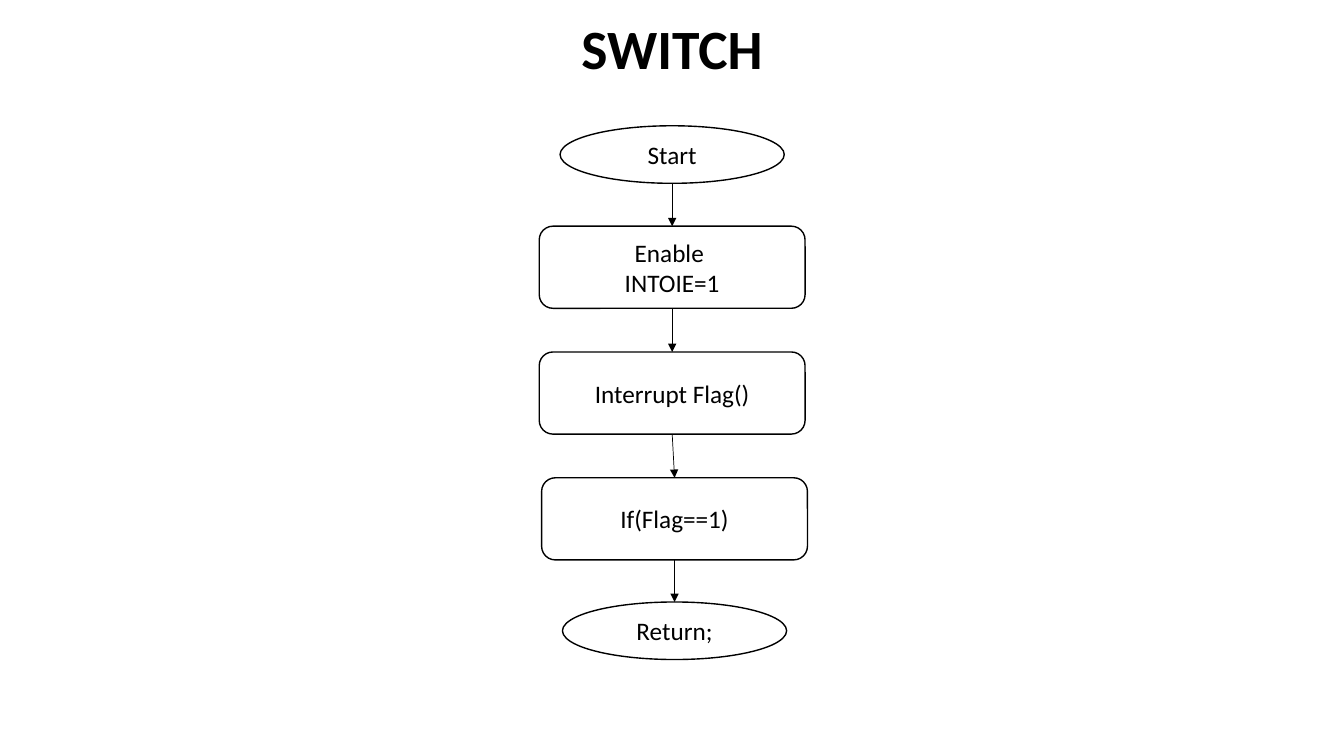
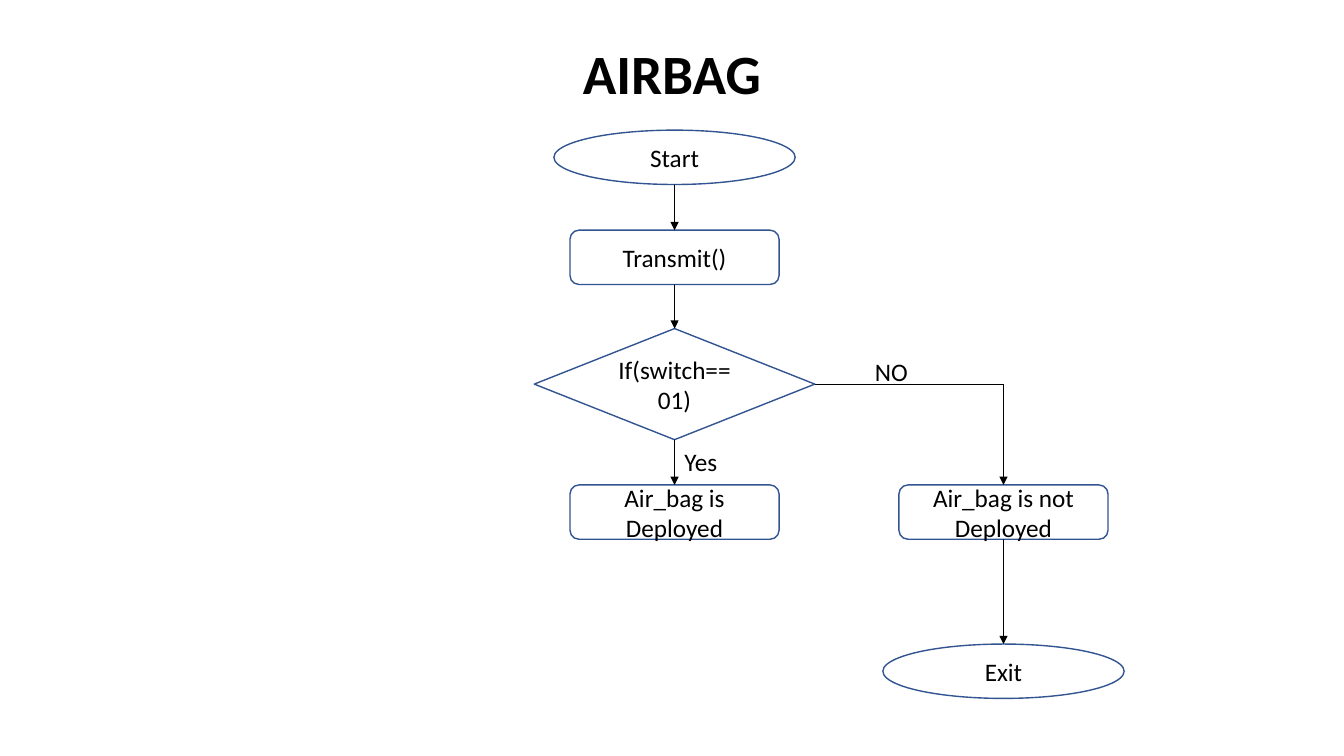
from dataclasses import dataclass
from typing import Optional

from lxml.etree import SubElement
from pptx import Presentation
from pptx.dml.color import RGBColor
from pptx.enum.shapes import MSO_CONNECTOR as Connector, MSO_SHAPE as Preset
from pptx.enum.text import MSO_ANCHOR as Anchor, MSO_AUTO_SIZE as AutoSize, PP_ALIGN as Align
from pptx.oxml.ns import qn
from pptx.util import Cm, Pt


@dataclass(frozen=True)
class Theme:
    font: str = "Calibri"
    ink: RGBColor = RGBColor(0x00, 0x00, 0x00)
    paper: RGBColor = RGBColor(0xFF, 0xFF, 0xFF)
    blue: RGBColor = RGBColor(0x32, 0x54, 0x91)
    title_size: float = 39.6
    body_size: float = 18
    outline: float = 1
    arrow: float = 0.5


@dataclass(frozen=True)
class Node:
    """A flowchart step, placed by its centre line and top edge, in cm."""
    key: str
    text: str
    preset: Preset
    centre: float
    top: float


@dataclass(frozen=True)
class Label:
    text: str
    left: float
    top: float


@dataclass(frozen=True)
class Flowchart:
    title: str
    title_top: float
    title_height: float
    outline: RGBColor
    sizes: dict[Preset, tuple[float, float]]
    nodes: tuple[Node, ...]
    down: tuple[tuple[str, str], ...]
    across: tuple[tuple[str, str], ...] = ()
    labels: tuple[Label, ...] = ()


THEME = Theme()
OVAL, BOX, DECISION = Preset.OVAL, Preset.ROUNDED_RECTANGLE, Preset.FLOWCHART_DECISION
SLIDE_WIDTH, SLIDE_HEIGHT = 33.87, 19.05
TITLE_WIDTH = 29.21
LABEL_WIDTH, LABEL_HEIGHT = 1.35, 1.02
MIDDLE, NUDGED, RIGHT = 16.94, 17.0, 25.29

SWITCH = Flowchart(
    title="SWITCH", title_top=0.43, title_height=1.75, outline=THEME.ink,
    sizes={OVAL: (5.65, 1.45), BOX: (6.7, 2.07)},
    nodes=(
        Node("start", "Start", OVAL, MIDDLE, 3.17),
        Node("enable", "Enable \nINTOIE=1", BOX, MIDDLE, 5.7),
        Node("interrupt", "Interrupt Flag()", BOX, MIDDLE, 8.87),
        Node("test", "If(Flag==1)", BOX, NUDGED, 12.04),
        Node("return", "Return;", OVAL, NUDGED, 15.17),
    ),
    down=(("start", "enable"), ("enable", "interrupt"),
          ("interrupt", "test"), ("test", "return")),
)

AIRBAG = Flowchart(
    title="AIRBAG", title_top=1.02, title_height=1.83, outline=THEME.blue,
    sizes={OVAL: (6.08, 1.37), BOX: (5.27, 1.37), DECISION: (7.07, 2.8)},
    nodes=(
        Node("start", "Start", OVAL, NUDGED, 3.28),
        Node("transmit", "Transmit()", BOX, NUDGED, 5.8),
        Node("test", "If(switch==01)", DECISION, NUDGED, 8.28),
        Node("idle", "Air_bag is not Deployed", BOX, RIGHT, 12.22),
        Node("deployed", "Air_bag is Deployed", BOX, NUDGED, 12.22),
        Node("exit", "Exit", OVAL, RIGHT, 16.23),
    ),
    down=(("start", "transmit"), ("transmit", "test"),
          ("test", "deployed"), ("idle", "exit")),
    across=(("test", "idle"),),
    labels=(Label("Yes", 17.0, 11.13), Label("NO", 21.8, 8.86)),
)


def write(frame, text: str, *, size: float = THEME.body_size, bold: bool = False,
          align: Align = Align.CENTER, anchor: Anchor = Anchor.MIDDLE,
          spacing: Optional[float] = None, wrap: bool = True,
          auto_size: AutoSize = AutoSize.NONE) -> None:
    """Fill a text frame, one paragraph for each line of text."""
    frame.text = text
    frame.word_wrap = wrap
    frame.auto_size = auto_size
    frame.vertical_anchor = anchor
    for paragraph in frame.paragraphs:
        paragraph.alignment = align
        if spacing is not None:
            paragraph.line_spacing = spacing
        for run in paragraph.runs:
            run.font.name = THEME.font
            run.font.size = Pt(size)
            run.font.bold = bold
            run.font.color.rgb = THEME.ink


def add_title(slide, chart: Flowchart) -> None:
    title = slide.shapes.title
    title.left, title.top = Cm((SLIDE_WIDTH - TITLE_WIDTH) / 2), Cm(chart.title_top)
    title.width, title.height = Cm(TITLE_WIDTH), Cm(chart.title_height)
    write(title.text_frame, chart.title, size=THEME.title_size, bold=True, spacing=0.9)


def add_node(slide, node: Node, chart: Flowchart):
    width, height = chart.sizes[node.preset]
    shape = slide.shapes.add_shape(node.preset, Cm(node.centre - width / 2), Cm(node.top),
                                   Cm(width), Cm(height))
    shape.shadow.inherit = False
    shape.fill.solid()
    shape.fill.fore_color.rgb = THEME.paper
    shape.line.color.rgb = chart.outline
    shape.line.width = Pt(THEME.outline)
    write(shape.text_frame, node.text)
    return shape


def add_line(slide, start: tuple[int, int], end: tuple[int, int], head: bool = True):
    line = slide.shapes.add_connector(Connector.STRAIGHT, *start, *end)
    line.line.color.rgb = THEME.ink
    line.line.width = Pt(THEME.arrow)
    properties = line.element.spPr
    if head:
        SubElement(properties.find(qn("a:ln")), qn("a:tailEnd"), type="triangle")
    SubElement(properties, qn("a:effectLst"))
    return line


def top_of(shape) -> tuple[int, int]:
    return shape.left + shape.width // 2, shape.top


def bottom_of(shape) -> tuple[int, int]:
    return shape.left + shape.width // 2, shape.top + shape.height


def right_of(shape) -> tuple[int, int]:
    return shape.left + shape.width, shape.top + shape.height // 2


def add_branch(slide, source, target) -> None:
    """Run right from the source, then down to the target."""
    start, end = right_of(source), top_of(target)
    corner = end[0], start[1]
    add_line(slide, start, corner, head=False)
    add_line(slide, corner, end)


def add_label(slide, label: Label) -> None:
    box = slide.shapes.add_textbox(Cm(label.left), Cm(label.top),
                                   Cm(LABEL_WIDTH), Cm(LABEL_HEIGHT))
    write(box.text_frame, label.text, align=Align.LEFT, anchor=Anchor.TOP,
          wrap=False, auto_size=AutoSize.SHAPE_TO_FIT_TEXT)


def add_flowchart(presentation, chart: Flowchart) -> None:
    slide = presentation.slides.add_slide(presentation.slide_layouts.get_by_name("Title Only"))
    add_title(slide, chart)
    shapes = {node.key: add_node(slide, node, chart) for node in chart.nodes}
    for source, target in chart.down:
        add_line(slide, bottom_of(shapes[source]), top_of(shapes[target]))
    for source, target in chart.across:
        add_branch(slide, shapes[source], shapes[target])
    for label in chart.labels:
        add_label(slide, label)


def main() -> None:
    presentation = Presentation()
    presentation.slide_width, presentation.slide_height = Cm(SLIDE_WIDTH), Cm(SLIDE_HEIGHT)
    for chart in (SWITCH, AIRBAG):
        add_flowchart(presentation, chart)
    presentation.save("out.pptx")


if __name__ == "__main__":
    main()
